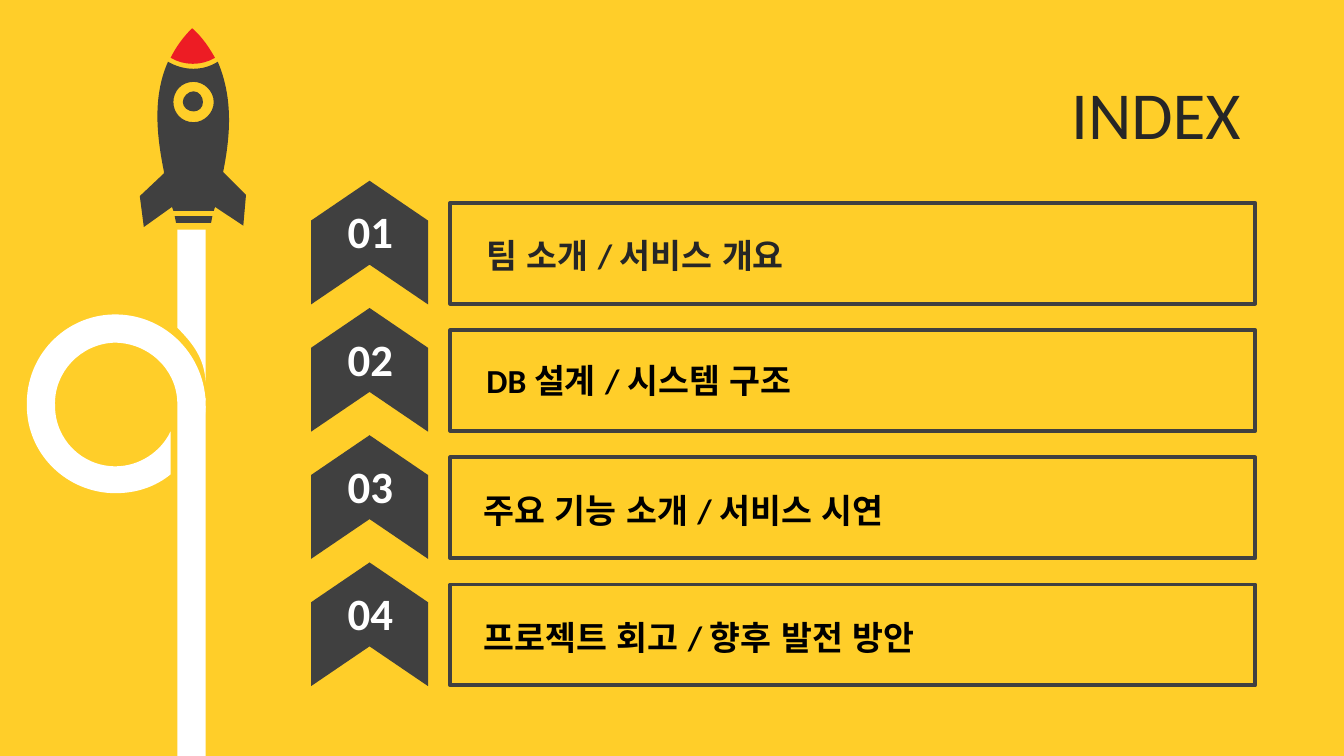
from dataclasses import dataclass

from lxml.etree import SubElement
from pptx import Presentation
from pptx.dml.color import RGBColor
from pptx.enum.lang import MSO_LANGUAGE_ID
from pptx.enum.shapes import MSO_SHAPE
from pptx.enum.text import MSO_ANCHOR, MSO_AUTO_SIZE, PP_ALIGN
from pptx.oxml.ns import qn
from pptx.util import Inches, Pt


@dataclass(frozen=True)
class Theme:
    font: str = "Calibri"
    yellow: RGBColor = RGBColor(0xFF, 0xCE, 0x29)
    charcoal: RGBColor = RGBColor(0x40, 0x40, 0x40)
    ink: RGBColor = RGBColor(0x26, 0x26, 0x26)
    black: RGBColor = RGBColor(0, 0, 0)
    white: RGBColor = RGBColor(0xFF, 0xFF, 0xFF)
    red: RGBColor = RGBColor(0xED, 0x1C, 0x24)
    title_size: Pt = Pt(36)
    number_size: Pt = Pt(24)
    label_size: Pt = Pt(18)
    border: Pt = Pt(2)


theme = Theme()
deck = Presentation()
deck.slide_width = Inches(10)
deck.slide_height = int(deck.slide_width * 9 / 16)
slide = deck.slides.add_slide(deck.slide_layouts[5])
slide.background.fill.solid()
slide.background.fill.fore_color.rgb = theme.yellow
shapes = slide.shapes


def draw_outline(contours, color):
    """Fill contours of points in inches; a six-number step is a Bezier curve."""
    builder = None
    for contour in contours:
        start, *ends = [tuple(map(Inches, step[-2:])) for step in contour]
        if builder is None:
            builder = shapes.build_freeform(*start, scale=1.0)
        else:
            builder.move_to(*start)
        builder.add_line_segments(ends, close=True)
    outline = builder.convert_to_shape()

    # The builder makes straight segments only: turn the curved steps into curves
    segments = list(outline.element.iter(qn("a:lnTo")))
    steps = [step for contour in contours for step in contour[1:]]
    for segment, step in zip(segments, steps):
        if len(step) == 6:
            segment.tag = qn("a:cubicBezTo")
            segment.clear()
            for x, y in zip(step[::2], step[1::2]):
                SubElement(segment, qn("a:pt"), x=str(Inches(x) - outline.left),
                           y=str(Inches(y) - outline.top))

    outline.shadow.inherit = False
    outline.fill.solid()
    outline.fill.fore_color.rgb = color
    outline.line.fill.background()


def write(frame, text, size, color, bold, align):
    frame.word_wrap = True
    paragraph = frame.paragraphs[0]
    paragraph.alignment = align
    run = paragraph.add_run()
    run.text = text
    run.font.name, run.font.size, run.font.bold = theme.font, size, bold
    run.font.color.rgb = color
    run.font.language_id = MSO_LANGUAGE_ID.KOREAN


title = shapes.title
title.left, title.top, title.width, title.height = map(Inches, (2.75, 0.52, 6.58, 0.63))
title.text_frame.vertical_anchor = MSO_ANCHOR.MIDDLE
write(title.text_frame, "INDEX", theme.title_size, theme.ink, False, PP_ALIGN.RIGHT)

# Smoke trail: the loop, the stretch above it and the straight tail
draw_outline([
    [(1.48, 3.02), (1.53, 3.02), (1.53, 3.1, 1.51, 3.18, 1.48, 3.26)],
    [(0.84, 2.34), (1.21, 2.33, 1.51, 2.62, 1.53, 2.98), (1.32, 2.99),
     (1.31, 2.74, 1.1, 2.55, 0.85, 2.55), (0.6, 2.56, 0.4, 2.77, 0.41, 3.02),
     (0.41, 3.27, 0.61, 3.47, 0.86, 3.47), (1.04, 3.47, 1.2, 3.36, 1.27, 3.21),
     (1.27, 3.53), (1.16, 3.62, 1.02, 3.67, 0.86, 3.67),
     (0.5, 3.67, 0.2, 3.38, 0.2, 3.02), (0.19, 2.65, 0.48, 2.35, 0.84, 2.34)],
], theme.white)
draw_outline([[(1.32, 1.71), (1.53, 1.71), (1.53, 2.09, 1.53, 2.47, 1.53, 2.84),
               (1.52, 2.67, 1.44, 2.56, 1.32, 2.44), (1.32, 1.71)]], theme.white)
tail_top = Inches(2.96)
tail = shapes.add_shape(MSO_SHAPE.RECTANGLE, Inches(1.32), tail_top,
                        Inches(0.21), deck.slide_height - tail_top)
tail.shadow.inherit = False
tail.fill.solid()
tail.fill.fore_color.rgb = theme.white
tail.line.fill.background()

# Rocket: nozzle, porthole, ring and body, then the nose
draw_outline([
    [(1.3, 1.61), (1.58, 1.61), (1.58, 1.63, 1.57, 1.64, 1.57, 1.66), (1.31, 1.66)],
    [(1.44, 0.68), (1.48, 0.68, 1.51, 0.72, 1.51, 0.76),
     (1.51, 0.8, 1.48, 0.83, 1.44, 0.83), (1.4, 0.83, 1.36, 0.8, 1.36, 0.76),
     (1.36, 0.72, 1.4, 0.68, 1.44, 0.68)],
    [(1.44, 0.61), (1.35, 0.61, 1.29, 0.68, 1.29, 0.76),
     (1.29, 0.84, 1.35, 0.91, 1.44, 0.91), (1.52, 0.91, 1.59, 0.84, 1.59, 0.76),
     (1.59, 0.68, 1.52, 0.61, 1.44, 0.61)],
    [(1.25, 0.46), (1.37, 0.53, 1.51, 0.53, 1.62, 0.46),
     (1.74, 0.74, 1.71, 1.03, 1.66, 1.28), (1.83, 1.45), (1.81, 1.68), (1.6, 1.54),
     (1.59, 1.57), (1.29, 1.57), (1.29, 1.56, 1.28, 1.55, 1.28, 1.54),
     (1.07, 1.69), (1.04, 1.46), (1.22, 1.29), (1.22, 1.28),
     (1.17, 1.03, 1.13, 0.73, 1.25, 0.46)],
], theme.charcoal)
draw_outline([[(1.43, 0.21), (1.51, 0.28, 1.56, 0.36, 1.6, 0.43),
               (1.5, 0.49, 1.37, 0.49, 1.27, 0.43),
               (1.31, 0.35, 1.36, 0.28, 1.43, 0.21)]], theme.red)

# Agenda rows: label, colour, label left and label drop below the box top
agenda = [
    ("팀 소개 / 서비스 개요", theme.ink, 3.5, 0.17),
    ("DB 설계 / 시스템 구조", theme.black, 3.5, 0.15),
    ("주요 기능 소개 / 서비스 시연", theme.black, 3.48, 0.17),
    ("프로젝트 회고 / 향후 발전 방안", theme.black, 3.48, 0.17),
]
first_row, row_pitch = 1.51, 2.84 / 3
for index, (topic, color, label_left, label_drop) in enumerate(agenda):
    row_top = first_row + index * row_pitch

    box = shapes.add_shape(MSO_SHAPE.RECTANGLE, Inches(3.35), Inches(row_top),
                           Inches(5.99), Inches(0.75))
    box.shadow.inherit = False
    box.fill.background()
    box.line.color.rgb = theme.charcoal
    box.line.width = theme.border

    marker = shapes.add_shape(MSO_SHAPE.CHEVRON, Inches(2.29), Inches(row_top - 0.14),
                              Inches(0.92), Inches(0.87))
    marker.adjustments[0] = 0.34
    marker.rotation = 270
    marker.shadow.inherit = False
    marker.fill.solid()
    marker.fill.fore_color.rgb = theme.charcoal
    marker.line.fill.background()

    number = shapes.add_textbox(Inches(2.45), Inches(row_top - 0.04),
                                Inches(0.61), Inches(0.5))
    number.text_frame.auto_size = MSO_AUTO_SIZE.SHAPE_TO_FIT_TEXT
    write(number.text_frame, f"{index + 1:02}", theme.number_size, theme.white,
          True, PP_ALIGN.CENTER)

    label = shapes.add_shape(MSO_SHAPE.ROUND_2_SAME_RECTANGLE, Inches(label_left),
                             Inches(row_top + label_drop), Inches(5.51), Inches(0.42))
    label.shadow.inherit = False
    label.fill.background()
    label.line.fill.background()
    label.text_frame.auto_size = MSO_AUTO_SIZE.SHAPE_TO_FIT_TEXT
    label.text_frame.vertical_anchor = MSO_ANCHOR.TOP
    write(label.text_frame, topic, theme.label_size, color, True, PP_ALIGN.LEFT)

deck.save("out.pptx")
